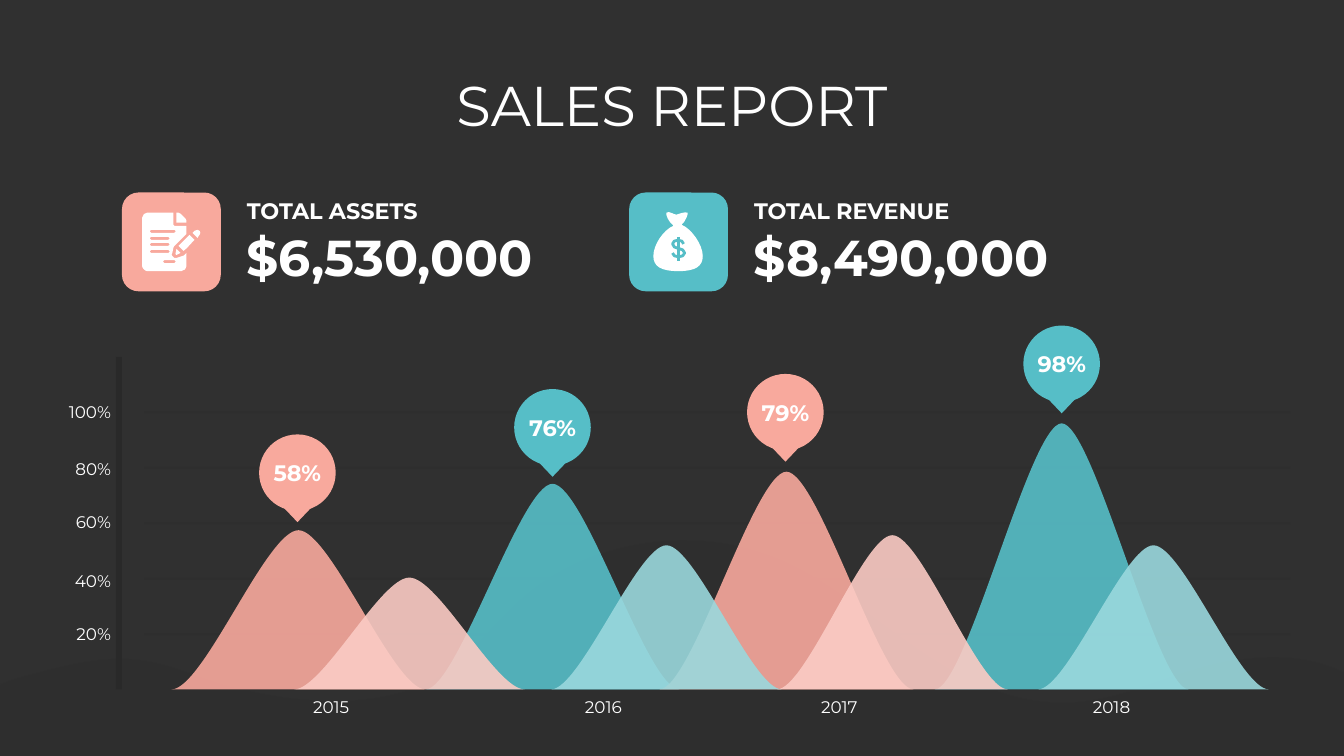
from lxml.etree import SubElement
from pptx import Presentation
from pptx.dml.color import RGBColor
from pptx.enum.shapes import MSO_CONNECTOR, MSO_SHAPE
from pptx.enum.text import MSO_ANCHOR, PP_ALIGN
from pptx.oxml.ns import qn
from pptx.util import Inches, Pt

COLORS = {
    "background": "303030", "grid": "2E2E2E", "axis": "292929", "white": "FFFFFF",
    "coral": "F8A99D", "teal": "56BEC7", "pale coral": "FBCBC4", "pale teal": "9AD8DD",
}
FONT = "Montserrat"
BASE = 6.84

WAVE = """M 6.7 5.36 C 7.14 5.35 7.58 5.44 7.97 5.66 C 8.78 6.1 9.48 6.93 10.47 6.97
C 11.09 7 11.65 6.64 12.26 6.55 C 12.64 6.49 12.97 6.52 13.24 6.63 L 13.33 6.67
L 13.33 7.5 L 0 7.5 L 0 6.79 C 0.12 6.74 0.23 6.71 0.35 6.68
C 0.69 6.59 1.05 6.5 1.4 6.55 C 1.7 6.59 1.97 6.72 2.26 6.8
C 2.97 7 3.91 7.07 4.5 6.61 C 4.75 6.41 4.93 6.16 5.17 5.95
C 5.58 5.58 6.14 5.38 6.7 5.36"""

PAGE = """M 1.72 2.46 C 1.72 2.45 1.73 2.44 1.74 2.43 L 1.85 2.32 L 1.85 2.24 L 1.73 2.24
C 1.72 2.24 1.72 2.24 1.72 2.23 L 1.72 2.11 L 1.46 2.11 C 1.44 2.11 1.41 2.13 1.41 2.16
L 1.41 2.64 C 1.41 2.66 1.44 2.69 1.46 2.69 L 1.8 2.69 C 1.83 2.69 1.85 2.66 1.85 2.64
L 1.85 2.51 L 1.83 2.53 C 1.83 2.53 1.82 2.54 1.81 2.54 L 1.75 2.56
C 1.73 2.56 1.72 2.56 1.71 2.54 C 1.7 2.53 1.7 2.52 1.71 2.51 L 1.72 2.46"""
PAGE_CORNER = "M 1.85 2.21 C 1.85 2.19 1.85 2.18 1.84 2.17 L 1.79 2.12 C 1.78 2.11 1.77 2.11 1.75 2.11 L 1.75 2.21"
PENCIL_TIP = "M 1.75 2.47 L 1.74 2.52 C 1.74 2.52 1.74 2.53 1.75 2.53 L 1.79 2.51"
PENCIL_BODY = "M 1.88 2.33 L 1.77 2.44 L 1.82 2.49 C 1.85 2.47 1.89 2.42 1.93 2.38"
PENCIL_END = """M 1.98 2.29 C 1.97 2.28 1.97 2.28 1.96 2.28 C 1.95 2.28 1.94 2.28 1.93 2.29
L 1.91 2.31 L 1.96 2.36 C 1.97 2.34 1.98 2.33 1.98 2.33 C 1.99 2.32 1.99 2.3 1.98 2.29"""
# Left, right and top of the lines cut out of the page
PAGE_LINES = [(1.5, 1.73, 2.28), (1.5, 1.67, 2.35), (1.5, 1.67, 2.41),
              (1.5, 1.67, 2.48), (1.63, 1.73, 2.58)]

BAG = """M 6.76 2.23 C 6.8 2.2 6.83 2.11 6.82 2.11 C 6.79 2.1 6.74 2.12 6.71 2.13
C 6.68 2.13 6.64 2.09 6.61 2.11 C 6.6 2.13 6.63 2.2 6.68 2.24
C 6.58 2.28 6.48 2.43 6.48 2.54 C 6.48 2.64 6.55 2.69 6.73 2.69
C 6.9 2.69 6.97 2.64 6.97 2.54 C 6.97 2.43 6.86 2.27 6.76 2.23"""
DOLLAR = """M 6.78 2.42 C 6.78 2.37 6.67 2.37 6.67 2.42 C 6.67 2.48 6.79 2.45 6.79 2.51
C 6.79 2.56 6.67 2.56 6.67 2.51"""

# Centre, top, width and colour, from back to front
HILLS = [
    (2.96, 5.26, 2.52, "coral"), (10.53, 4.2, 2.52, "teal"),
    (5.48, 4.8, 2.52, "teal"), (7.8, 4.68, 2.52, "coral"),
    (4.06, 5.73, 2.29, "pale coral"), (11.44, 5.41, 2.29, "pale teal"),
    (8.85, 5.31, 2.29, "pale coral"), (6.61, 5.41, 2.29, "pale teal"),
]
PINS = [("58%", 2.95, 4.31, "coral"), ("76%", 5.48, 3.86, "teal"),
        ("79%", 7.79, 3.71, "coral"), ("98%", 10.53, 3.23, "teal")]
Y_LABELS = [("20%", 6.14), ("40%", 5.61), ("60%", 5.03), ("80%", 4.5), ("100%", 3.94)]
X_LABELS = [("2015", 3), ("2016", 5.7), ("2017", 8.04), ("2018", 10.74)]
TOTALS = [("TOTAL ASSETS", "$6,530,000", 1.21, "coral"),
          ("TOTAL REVENUE", "$8,490,000", 6.24, "teal")]


def rgb(name):
    return RGBColor.from_string(COLORS[name])


def paint(s, color, opacity=100):
    s.shadow.inherit = False
    s.line.fill.background()
    s.fill.solid()
    s.fill.fore_color.rgb = rgb(color)
    if opacity < 100:
        srgb = s.fill._xPr.find(qn("a:solidFill")).find(qn("a:srgbClr"))
        SubElement(srgb, qn("a:alpha")).set("val", str(opacity * 1000))


def add_block(shapes, kind, x, y, w, h, color, opacity=100):
    s = shapes.add_shape(kind, Inches(x), Inches(y), Inches(w), Inches(h))
    paint(s, color, opacity)
    return s


def add_text(shapes, text, x, y, w, h, size, bold=False, align=PP_ALIGN.LEFT, wrap=False):
    tf = shapes.add_textbox(Inches(x), Inches(y), Inches(w), Inches(h)).text_frame
    tf.word_wrap = wrap
    tf.vertical_anchor = MSO_ANCHOR.MIDDLE
    p = tf.paragraphs[0]
    p.text = text
    p.alignment = align
    font = p.runs[0].font
    font.name, font.size, font.bold = FONT, Pt(size), bold
    font.color.rgb = rgb("white")
    return tf


def parse_outline(outline):
    """Split an outline into (letter, points) commands."""
    commands = []
    for token in outline.split():
        if token in "MLC":
            commands.append((token, []))
        else:
            commands[-1][1].append(Inches(float(token)))
    return [(letter, list(zip(n[::2], n[1::2]))) for letter, n in commands]


def add_outline(shapes, outline, close=True):
    commands = parse_outline(outline)
    builder = shapes.build_freeform(*commands[0][1][0])
    for letter, points in commands[1:]:
        if letter == "M":
            builder.move_to(*points[0])
        else:
            builder.add_line_segments(points, close=False)
    if close:
        builder.add_line_segments([commands[0][1][0]], close=True)
    s = builder.convert_to_shape()

    # Join the three points of each C command into one curve
    steps = iter(list(next(s._element.iter(qn("a:path")))))
    for letter, points in commands:
        first, *rest = [next(steps) for _ in points]
        if letter == "C":
            first.tag = qn("a:cubicBezTo")
            for step in rest:
                first.append(step[0])
                step.getparent().remove(step)
    return s


def add_hill(shapes, center, top, width, color):
    left, right, pull = center - width / 2, center + width / 2, width / 8
    outline = (f"M {left} {BASE} C {left + pull} {BASE} {center - pull} {top} {center} {top} "
               f"C {center + pull} {top} {right - pull} {BASE} {right} {BASE}")
    paint(add_outline(shapes, outline), color, 90)


def add_pin(shapes, center, top, color):
    pin = shapes.add_group_shape().shapes
    add_block(pin, MSO_SHAPE.OVAL, center - 0.38, top, 0.76, 0.76, color)
    tail = add_block(pin, MSO_SHAPE.ISOSCELES_TRIANGLE, center - 0.19, top + 0.67, 0.38, 0.2, color)
    tail.rotation = 180


def add_total(shapes, label, amount, x, color):
    add_block(shapes, MSO_SHAPE.ROUNDED_RECTANGLE, x, 1.91, 0.98, 0.98, color)
    add_text(shapes, label, x + 1.14, 1.9, 2.22, 0.37, 16, True)
    add_text(shapes, amount, x + 1.14, 2.19, 3.2, 0.71, 36, True)


def add_page_icon(shapes):
    icon = shapes.add_group_shape().shapes
    page = PAGE
    for x1, x2, y in PAGE_LINES:
        y2 = y + 0.03
        page += (f" M {x1} {y} L {x2} {y} C {x2 + 0.02} {y} {x2 + 0.02} {y2} {x2} {y2}"
                 f" L {x1} {y2} C {x1 - 0.02} {y2} {x1 - 0.02} {y} {x1} {y}")
    for outline in (PAGE_CORNER, PENCIL_TIP, PENCIL_BODY, PENCIL_END):
        paint(add_outline(icon, outline), "white")
    paint(add_outline(icon, page, close=False), "white")


def add_bag_icon(shapes):
    icon = shapes.add_group_shape().shapes
    paint(add_outline(icon, BAG), "white")
    curve = add_outline(icon, DOLLAR, close=False)
    curve.shadow.inherit = False
    curve.fill.background()
    bar = icon.add_connector(MSO_CONNECTOR.STRAIGHT, Inches(6.73), Inches(2.35), Inches(6.73), Inches(2.59))
    SubElement(bar._element.spPr, qn("a:effectLst"))
    for s in (curve, bar):
        s.line.color.rgb = rgb("teal")
        s.line.width = Pt(2)


def main():
    prs = Presentation()
    prs.slide_width, prs.slide_height = Inches(13.33), Inches(7.5)
    slide = prs.slides.add_slide(prs.slide_layouts[6])
    shapes = slide.shapes

    # Background and title
    slide.background.fill.solid()
    slide.background.fill.fore_color.rgb = rgb("background")
    paint(add_outline(shapes, WAVE), "grid", 50)
    tf = add_text(shapes, "SALES REPORT", 2.66, 0.61, 8.01, 0.82, 40, align=PP_ALIGN.CENTER, wrap=True)
    tf.margin_top = Inches(0.16)
    tf.paragraphs[0].line_spacing = 0.9

    # Grid and axis
    for i in range(6):
        add_block(shapes, MSO_SHAPE.RECTANGLE, 1.43, 4.08 + 0.55 * i, 11.37, 0.02, "grid", 90)
    add_block(shapes, MSO_SHAPE.RECTANGLE, 1.15, 3.54, 0.06, 3.3, "axis", 90)

    # Hills with axis labels
    for hill in HILLS:
        add_hill(shapes, *hill)
    for text, y in Y_LABELS:
        add_text(shapes, text, 0.53, y, 0.67, 0.3, 12, align=PP_ALIGN.RIGHT, wrap=True)
    for text, x in X_LABELS:
        add_text(shapes, text, x, 6.86, 0.57, 0.3, 12, align=PP_ALIGN.CENTER)

    # Percentage pins
    for text, center, top, color in PINS:
        add_pin(shapes, center, top, color)
        add_text(shapes, text, center - 0.34, top + 0.2, 0.68, 0.36, 16, True, PP_ALIGN.CENTER)

    # Totals with icons
    for total in TOTALS:
        add_total(shapes, *total)
    add_page_icon(shapes)
    add_bag_icon(shapes)

    prs.save("out.pptx")


if __name__ == "__main__":
    main()
